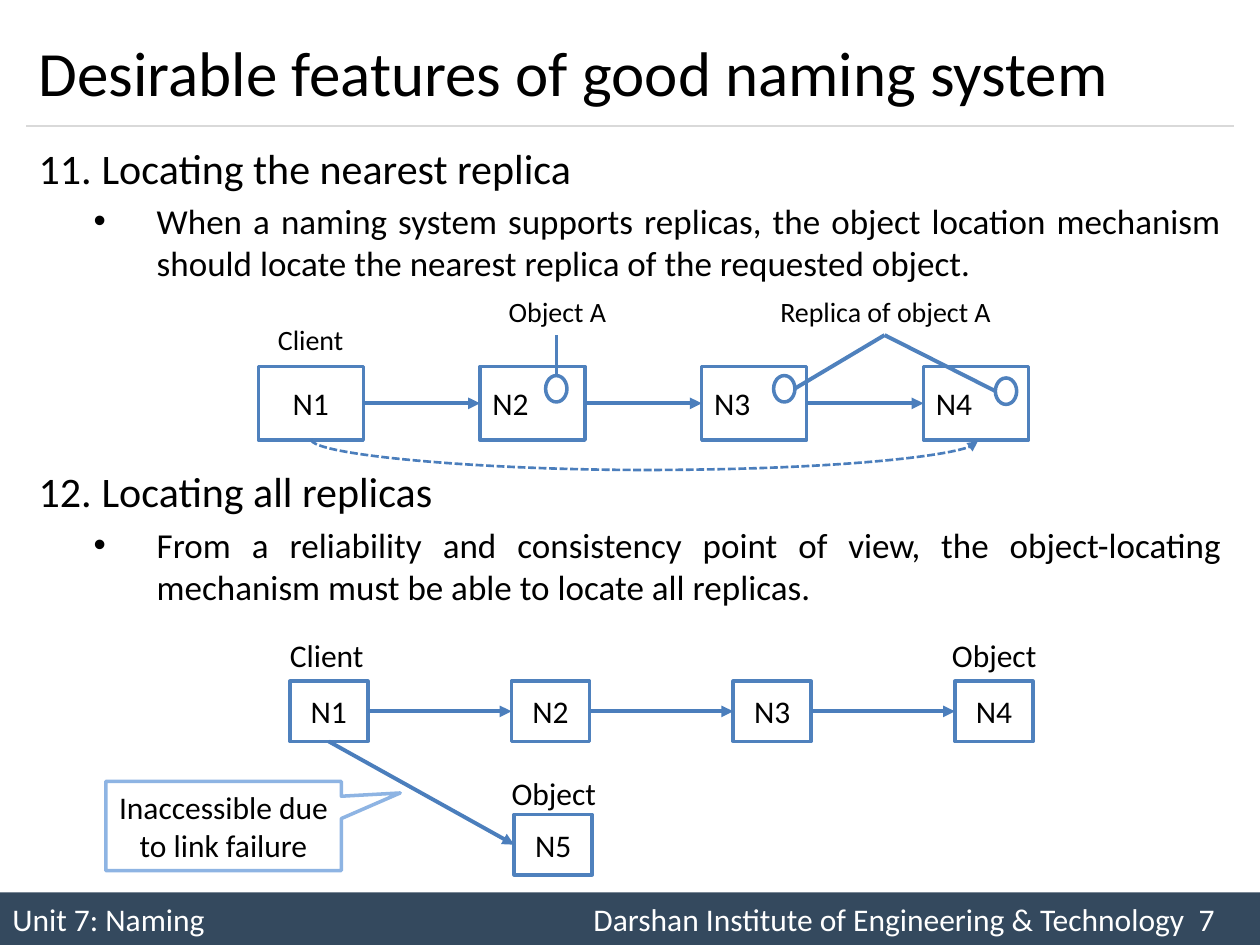
from dataclasses import dataclass

from lxml.etree import SubElement as Sub
from pptx import Presentation
from pptx.dml.color import RGBColor as Rgb
from pptx.enum.dml import MSO_LINE as Dash
from pptx.enum.shapes import MSO_CONNECTOR as Link, MSO_SHAPE as Kind
from pptx.enum.text import MSO_ANCHOR as Anchor, PP_ALIGN as Align
from pptx.oxml.ns import qn
from pptx.util import Pt


@dataclass(frozen=True)
class Theme:
    face: str = "Calibri"
    ink: str = "000000"
    white: str = "FFFFFF"
    bar: str = "34495E"
    rule: str = "D9D9D9"
    edge: str = "4F81BD"
    arrow: str = "4B7EBC"
    note: str = "8EB4E3"
    title: int = 36
    head: int = 24
    point: int = 20
    label: int = 18
    small: int = 16


THEME = Theme()
STEP = 126.7  # distance between nodes, the same in both rows


def style(para, size, color=THEME.ink, align=Align.LEFT):
    para.alignment = align
    font = para.font
    font.name, font.size = THEME.face, Pt(size)
    font.color.rgb = Rgb.from_string(color)


def add_box(slide, kind, left, top, width, height, fill, edge=None):
    box = slide.shapes.add_shape(kind, Pt(left), Pt(top), Pt(width), Pt(height))
    box.shadow.inherit = False
    box.fill.solid()
    box.fill.fore_color.rgb = Rgb.from_string(fill)
    if edge:
        box.line.color.rgb = Rgb.from_string(edge)
        box.line.width = Pt(2)
    else:
        box.line.fill.background()
    return box


def add_node(slide, text, left, top, width, height, align=Align.CENTER):
    node = add_box(slide, Kind.RECTANGLE, left, top, width, height,
                   THEME.white, THEME.edge)
    node.text_frame.text = text
    style(node.text_frame.paragraphs[0], THEME.label, align=align)
    return node


def add_line(slide, start=(0, 0), end=(0, 0), color=THEME.edge, width=2.25,
             head=False, kind=Link.STRAIGHT):
    line = slide.shapes.add_connector(kind, *map(Pt, (*start, *end)))
    line.line.color.rgb = Rgb.from_string(color)
    line.line.width = Pt(width)
    if head:
        Sub(line.line._get_or_add_ln(), qn("a:tailEnd"), type="triangle")
    Sub(line._element.spPr, qn("a:effectLst"))
    return line


def join(slide, first, last, out=3, into=1):
    line = add_line(slide, color=THEME.arrow, head=True)
    line.begin_connect(first, out)
    line.end_connect(last, into)


def add_chain(slide, nodes):
    for first, last in zip(nodes, nodes[1:]):
        join(slide, first, last)


def add_label(slide, text, left, top, width, size):
    box = slide.shapes.add_textbox(Pt(left), Pt(top), Pt(width), Pt(28))
    box.text_frame.word_wrap = False
    box.text_frame.text = text
    style(box.text_frame.paragraphs[0], size, align=Align.CENTER)


def add_item(para, text, level, gap):
    para.text, para.level = text, level
    if gap:
        para.space_before = Pt(gap)
    props = para._p.get_or_add_pPr()
    props.set("marL", str(Pt(67.5 if level else 36)))
    props.set("indent", str(Pt(-36)))
    if level:
        Sub(props, qn("a:buFont"), typeface="Arial")
        Sub(props, qn("a:buChar"), char="•")
    else:
        Sub(props, qn("a:buFont"), typeface="+mj-lt")
        Sub(props, qn("a:buAutoNum"), type="arabicPeriod", startAt="11")
    style(para, THEME.point if level else THEME.head, align=Align.JUSTIFY)


def add_title(slide, text):
    title = slide.shapes.title
    title.left, title.top, title.width, title.height = map(Pt, (15, 9, 690, 63))
    title.text_frame.text = text
    title.text_frame.vertical_anchor = Anchor.MIDDLE
    style(title.text_frame.paragraphs[0], THEME.title)
    add_line(slide, (15, 72), (705, 72), THEME.rule, 0.75)


def add_foot(slide):
    bar = add_box(slide, Kind.RECTANGLE, 0, 510, 720, 30, THEME.bar)
    para = bar.text_frame.paragraphs[0]
    para.text = ("Unit 7: Naming\tDarshan Institute of Engineering & Technology"
                 "\t7")
    tabs = Sub(para._p.get_or_add_pPr(), qn("a:tabLst"))
    for stop in (670, 687):
        Sub(tabs, qn("a:tab"), pos=str(Pt(stop)), algn="r")
    style(para, THEME.label, THEME.white)


def add_body(slide):
    items = [
        ("Locating the nearest replica", 0, 0),
        ("When a naming system supports replicas, the object location "
         "mechanism should locate the nearest replica of the requested "
         "object.", 1, 4),
        ("Locating all replicas", 0, 104),  # room for the first diagram
        ("From a reliability and consistency point of view, the "
         "object-locating mechanism must be able to locate all replicas.",
         1, 4),
    ]
    box = slide.shapes.add_textbox(Pt(15), Pt(77.8), Pt(690), Pt(420))
    frame = box.text_frame
    frame.word_wrap = True
    for i, item in enumerate(items):
        add_item(frame.add_paragraph() if i else frame.paragraphs[0], *item)


def add_near(slide):
    """Nearest replica: four nodes, three of them holding the object."""
    nodes = [add_node(slide, f"N{i + 1}", 147.6 + i * STEP, 209.5, 60, 42,
                      Align.LEFT if i else Align.CENTER) for i in range(4)]
    add_chain(slide, nodes)
    for text, left, top, width in (("Client", 151, 180.7, 53),
                                   ("Object A", 283, 165, 71),
                                   ("Replica of object A", 432, 165, 148)):
        add_label(slide, text, left, top, width, THEME.small)

    # Object marks and their pointers
    for left, top in ((311.8, 214.6), (442.1, 214.6), (568.8, 216)):
        add_box(slide, Kind.OVAL, left, top, 12.2, 15.1,
                THEME.white, THEME.edge)
    for start, end in (((318, 191.5), (318, 214.6)),
                       ((505.5, 191.5), (454.3, 222)),
                       ((505.5, 191.5), (568.8, 223.5))):
        add_line(slide, start, end)

    # Dashed curve: a tall connector turned on its side, bulging 17.6 points
    curve = add_line(slide, (368.8, 61.1), (367.8, 442.1), THEME.arrow, 1.5,
                     True, Link.CURVE)
    curve.line.dash_style = Dash.SQUARE_DOT
    props = curve._element.spPr
    props.find(qn("a:xfrm")).set("rot", str(270 * 60000))
    Sub(props.find(qn("a:prstGeom")).find(qn("a:avLst")), qn("a:gd"),
        name="adj1", fmla="val 1760000")


def add_all(slide):
    """All replicas: a chain of four nodes and a failed link to a fifth."""
    size = (44.6, 34.4)
    nodes = [add_node(slide, f"N{i + 1}", 165.6 + i * STEP, 389.3, *size)
             for i in range(4)]
    add_chain(slide, nodes)
    fifth = add_node(slide, "N5", 293.8, 465.5, *size)
    join(slide, nodes[0], fifth, out=2)
    for text, left, top in (("Client", 155, 360), ("Object", 536.4, 360),
                            ("Object", 284.8, 438.5)):
        add_label(slide, text, left, top, 63.4, THEME.label)

    # Callout on the failed link
    note = add_box(slide, Kind.RECTANGULAR_CALLOUT, 60.5, 446.5, 134.6, 51,
                   THEME.white, THEME.note)
    note.adjustments[0], note.adjustments[1] = 0.75, -0.37
    frame = note.text_frame
    frame.margin_left = frame.margin_right = 0
    frame.text = "Inaccessible due\nto link failure"
    for para in frame.paragraphs:
        style(para, THEME.label, align=Align.CENTER)


def main():
    deck = Presentation()
    deck.slide_width, deck.slide_height = Pt(720), Pt(540)
    slide = deck.slides.add_slide(deck.slide_layouts[5])
    add_foot(slide)
    add_title(slide, "Desirable features of good naming system")
    add_body(slide)
    add_all(slide)
    add_near(slide)
    deck.save("out.pptx")


if __name__ == "__main__":
    main()
